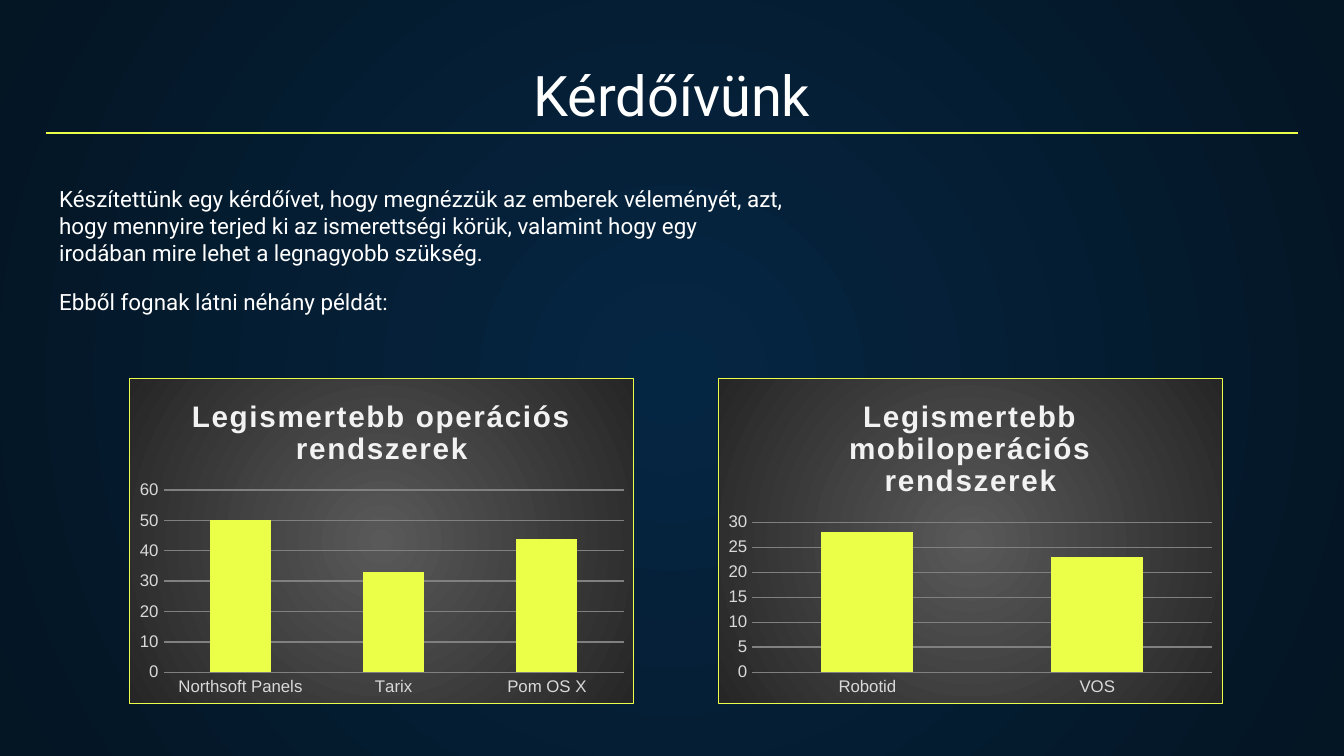
from lxml import etree
from pptx import Presentation
from pptx.chart.data import CategoryChartData
from pptx.dml.color import RGBColor
from pptx.enum.chart import XL_CHART_TYPE, XL_TICK_MARK
from pptx.enum.shapes import MSO_CONNECTOR
from pptx.enum.text import MSO_ANCHOR, MSO_AUTO_SIZE, PP_ALIGN
from pptx.oxml import parse_xml
from pptx.oxml.ns import nsdecls, qn
from pptx.util import Inches, Pt

COLUMNS = XL_CHART_TYPE.COLUMN_CLUSTERED
NO_TICK = XL_TICK_MARK.NONE
STRAIGHT = MSO_CONNECTOR.STRAIGHT
TOP, BOTTOM = MSO_ANCHOR.TOP, MSO_ANCHOR.BOTTOM
LEFT, CENTER = PP_ALIGN.LEFT, PP_ALIGN.CENTER
NO_AUTOFIT = MSO_AUTO_SIZE.NONE

ACCENT, WHITE = "ECFF48", "FFFFFF"
TITLE = "Kérdőívünk"
BODY = [
    "Készítettünk egy kérdőívet, hogy megnézzük az emberek véleményét, azt, "
    "hogy mennyire terjed ki az ismerettségi körük, valamint hogy egy "
    "irodában mire lehet a legnagyobb szükség.",
    "Ebből fognak látni néhány példát:",
]
CHARTS = [
    ("Legismertebb operációs rendszerek",
     {"Northsoft Panels": 50, "Tarix": 33, "Pom OS X": 44}),
    ("Legismertebb mobiloperációs rendszerek", {"Robotid": 28, "VOS": 23}),
]
SLIDE_WIDTH = 10
SLIDE_HEIGHT = SLIDE_WIDTH * 9 / 16
MARGIN, CONTENT_WIDTH = 0.34, 9.32
CHART_LEFT, CHART_TOP, CHART_STEP = 0.96, 2.81, 4.38
CHART_WIDTH, CHART_HEIGHT = 3.76, 2.43


def color(hex_string):
    return RGBColor.from_string(hex_string)


def style_font(font, name, size, hex_string, bold=False):
    font.name, font.size, font.bold = name, Pt(size), bold
    font.color.rgb = color(hex_string)


def style_line(line, hex_string):
    line.color.rgb = color(hex_string)
    line.width = Pt(0.75)


def radial_fill(inner, outer):
    return parse_xml(
        f'<a:gradFill {nsdecls("a")} rotWithShape="1"><a:gsLst>'
        f'<a:gs pos="0"><a:srgbClr val="{inner}"/></a:gs>'
        f'<a:gs pos="100000"><a:srgbClr val="{outer}"/></a:gs></a:gsLst>'
        '<a:path path="circle"><a:fillToRect l="50000" t="50000" '
        'r="50000" b="50000"/></a:path></a:gradFill>')


def set_background(slide):
    slide.background.fill.solid()
    solid = next(slide.element.iter(qn("a:solidFill")))
    solid.getparent().replace(solid, radial_fill("052643", "041523"))


def fill_placeholder(shape, box, paragraphs, size, align, anchor):
    shape.left, shape.top, shape.width, shape.height = map(Inches, box)
    frame = shape.text_frame
    frame.text = "\n".join(paragraphs)
    frame.word_wrap, frame.auto_size = True, NO_AUTOFIT
    frame.vertical_anchor = anchor
    frame.margin_left = frame.margin_right = Inches(0.1)
    frame.margin_top = frame.margin_bottom = Inches(0.1)
    for paragraph in frame.paragraphs:
        paragraph.alignment = align
        paragraph.space_before, paragraph.space_after = Pt(0), Pt(12)
        style_font(paragraph.runs[0].font, "Roboto", size, WHITE)
    frame.paragraphs[-1].space_after = Pt(0)


def add_rule(slide, top):
    rule = slide.shapes.add_connector(
        STRAIGHT, Inches(MARGIN), Inches(top),
        Inches(MARGIN + CONTENT_WIDTH), Inches(top))
    style_line(rule.line, ACCENT)
    etree.SubElement(rule.element.spPr, qn("a:effectLst"))


def style_chart_area(chart):
    area = parse_xml(
        f'<c:spPr {nsdecls("c", "a")}><a:ln w="{Pt(0.75)}"><a:solidFill>'
        f'<a:srgbClr val="{ACCENT}"/></a:solidFill></a:ln></c:spPr>')
    area.insert(0, radial_fill("595959", "262626"))
    chart.element.find(qn("c:txPr")).addprevious(area)


def add_column_chart(slide, left, title, values):
    data = CategoryChartData()
    data.categories = list(values)
    data.add_series("Series 1", list(values.values()))
    chart = slide.shapes.add_chart(
        COLUMNS, Inches(left), Inches(CHART_TOP),
        Inches(CHART_WIDTH), Inches(CHART_HEIGHT), data).chart
    style_font(chart.font, "Arial", 10, "000000")
    style_chart_area(chart)
    chart.has_legend = False
    chart.has_title = True
    chart.chart_title.include_in_layout = False
    frame = chart.chart_title.text_frame
    frame.text = title
    run = frame.paragraphs[0].runs[0]
    style_font(run.font, "Arial", 16, "F2F2F2", bold=True)
    run.font._element.set("spc", "100")
    for axis in (chart.category_axis, chart.value_axis):
        axis.major_tick_mark = axis.minor_tick_mark = NO_TICK
        axis.format.line.fill.background()
        style_font(axis.tick_labels.font, "Arial", 9, "D9D9D9")
    chart.value_axis.has_major_gridlines = True
    style_line(chart.value_axis.major_gridlines.format.line, "808080")
    plot = chart.plots[0]
    plot.gap_width, plot.vary_by_categories = 150, False
    fill = plot.series[0].format.fill
    fill.solid()
    fill.fore_color.rgb = color(ACCENT)


def main():
    """Build the survey slide with its two column charts."""
    presentation = Presentation()
    presentation.slide_width = Inches(SLIDE_WIDTH)
    presentation.slide_height = Inches(SLIDE_HEIGHT)
    slide = presentation.slides.add_slide(presentation.slide_layouts[0])
    set_background(slide)
    title, body = slide.placeholders
    fill_placeholder(title, (MARGIN, 0.39, CONTENT_WIDTH, 0.66), [TITLE],
                     30, CENTER, BOTTOM)
    add_rule(slide, 0.99)
    fill_placeholder(body, (MARGIN, 1.28, 5.64, 1.3), BODY, 12, LEFT, TOP)
    for index, (chart_title, values) in enumerate(CHARTS):
        add_column_chart(slide, CHART_LEFT + index * CHART_STEP,
                         chart_title, values)
    presentation.save("out.pptx")


if __name__ == "__main__":
    main()
